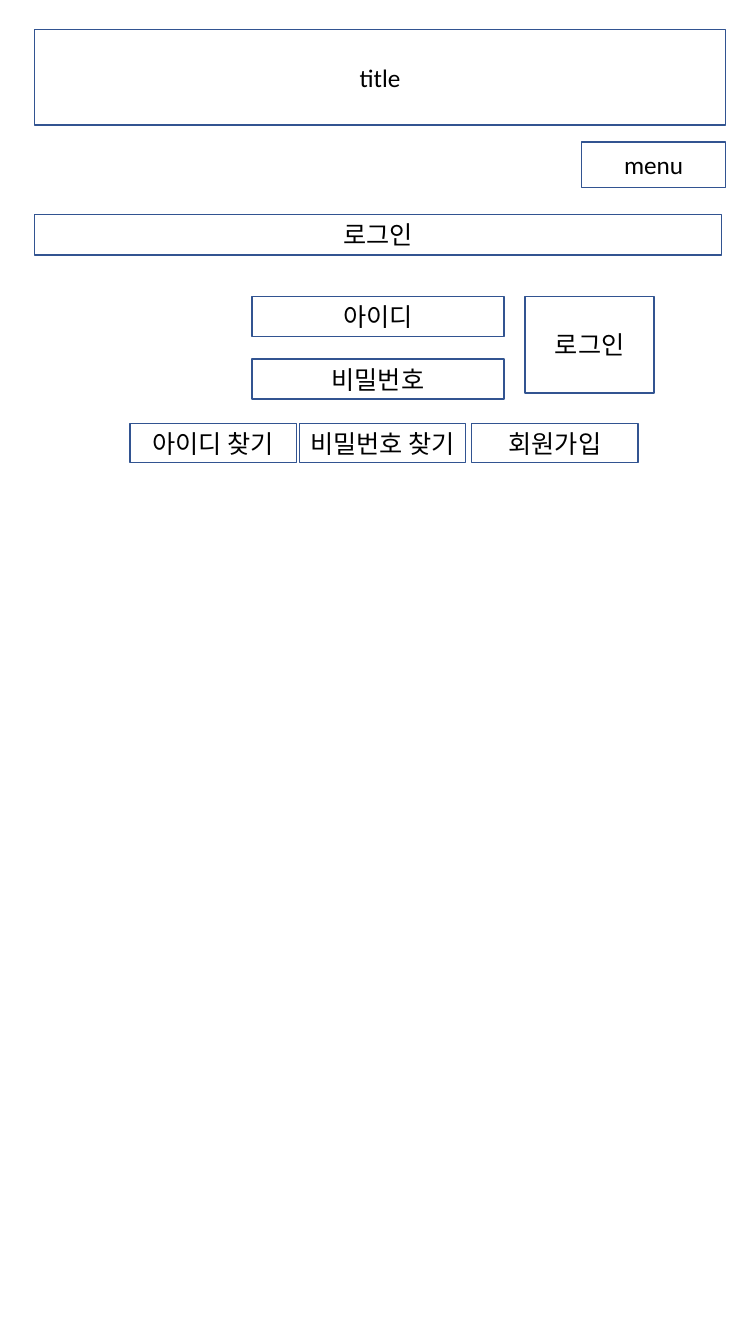
from pptx import Presentation
from pptx.dml.color import RGBColor
from pptx.enum import shapes, text
from pptx.util import Inches, Pt

deck = Presentation()
deck.slide_width, deck.slide_height = Inches(7.5), Inches(13.33)
page = deck.slides.add_slide(deck.slide_layouts[6])


def hue(code):
    return RGBColor.from_string(code)


def box(label, left, top, width, height, size=18, font="Calibri",
        color="000000", fill="FFFFFF", line="325491"):
    rect = page.shapes.add_shape(
        shapes.MSO_SHAPE.RECTANGLE,
        Inches(left), Inches(top), Inches(width), Inches(height))
    rect.shadow.inherit = False
    rect.fill.solid()
    rect.fill.fore_color.rgb = hue(fill)
    rect.line.color.rgb = hue(line)
    rect.line.width = Pt(1)
    frame = rect.text_frame
    frame.word_wrap = True
    frame.margin_left = frame.margin_right = Inches(0.05)
    frame.vertical_anchor = text.MSO_ANCHOR.MIDDLE
    para = frame.paragraphs[0]
    para.alignment = text.PP_ALIGN.CENTER
    run = para.add_run()
    run.text = label
    run.font.size = Pt(size)
    run.font.name = font
    run.font.color.rgb = hue(color)


# Page header
box("title", 0.34, 0.29, 6.86, 0.95)
box("menu", 5.77, 1.41, 1.43, 0.45)
box("로그인", 0.34, 2.13, 6.82, 0.4)

# Login form
for row, label in enumerate(["아이디", "비밀번호"]):
    box(label, 2.5, 2.94 + 0.62 * row, 2.5, 0.4)
box("로그인", 5.21, 2.94, 1.28, 0.96)

# Account links
for label, left in [("아이디 찾기", 1.29), ("비밀번호 찾기", 2.97), ("회원가입", 4.68)]:
    box(label, left, 4.2, 1.65, 0.39)

deck.save("out.pptx")
